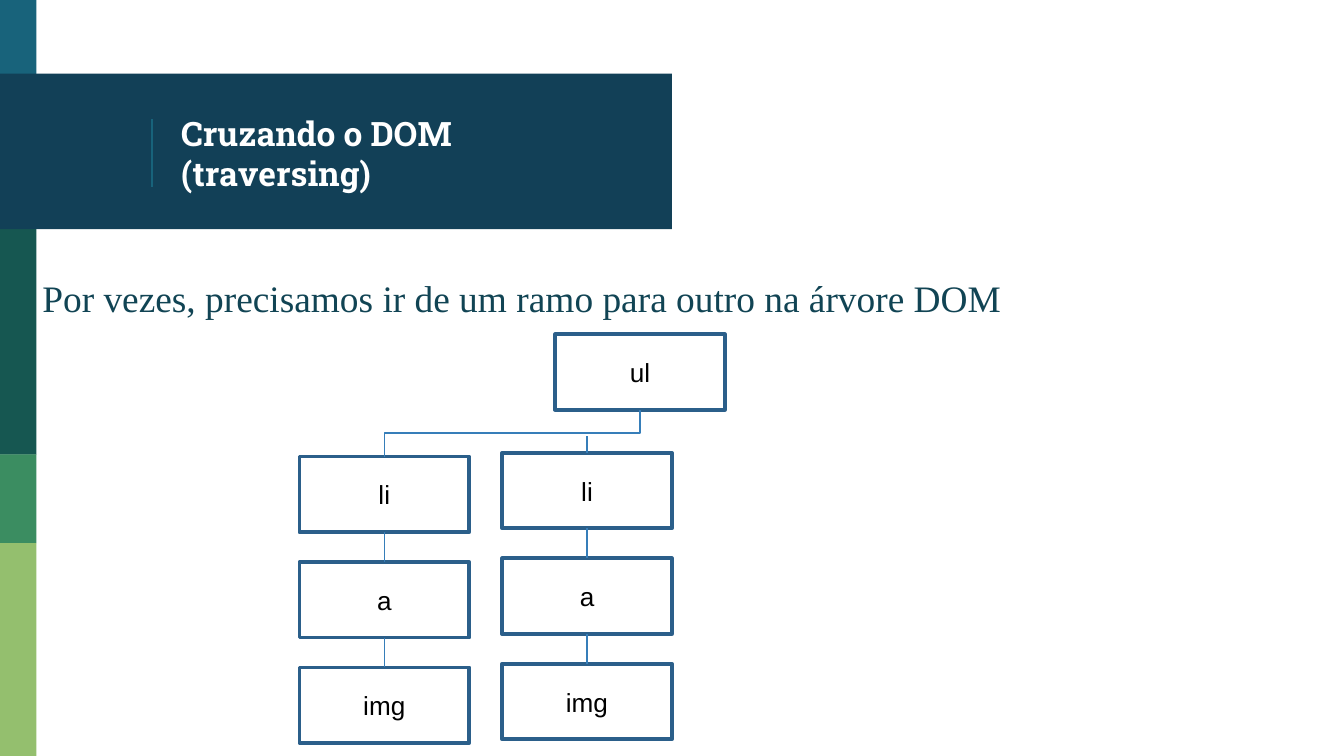
from dataclasses import dataclass

from pptx import Presentation
from pptx.dml.color import RGBColor
from pptx.enum.shapes import MSO_CONNECTOR, MSO_SHAPE
from pptx.enum.text import MSO_ANCHOR, PP_ALIGN
from pptx.oxml.ns import qn
from pptx.util import Pt


@dataclass(frozen=True)
class Theme:
    teal: str = "18637B"
    navy: str = "124057"
    pine: str = "165751"
    green: str = "3B8D61"
    lime: str = "94BF6E"
    white: str = "FFFFFF"
    black: str = "000000"
    body: str = "114454"
    outline: str = "2B5F8A"
    link: str = "367EB9"
    title_font: str = "Roboto Slab"
    body_font: str = "Times New Roman"
    node_font: str = "Arial"
    title_size: float = 18
    body_size: float = 20
    node_size: float = 14
    thin: float = 0.75
    thick: float = 2


@dataclass(frozen=True)
class Box:
    left: float
    top: float
    width: float
    height: float

    @property
    def center(self):
        return self.left + self.width / 2

    @property
    def bottom(self):
        return self.top + self.height

    def lengths(self):
        return Pt(self.left), Pt(self.top), Pt(self.width), Pt(self.height)


THEME = Theme()


def rgb(color):
    return RGBColor.from_string(color)


def add_rectangle(page, box, fill=None, line=None):
    shape = page.shapes.add_shape(MSO_SHAPE.RECTANGLE, *box.lengths())
    shape.shadow.inherit = False
    if fill:
        shape.fill.solid()
        shape.fill.fore_color.rgb = rgb(fill)
    else:
        shape.fill.background()
    if line:
        shape.line.color.rgb = rgb(line)
        shape.line.width = Pt(THEME.thick)
    else:
        shape.line.fill.background()
    return shape


def add_line(page, start, end, color, kind=MSO_CONNECTOR.STRAIGHT):
    points = [Pt(value) for value in (*start, *end)]
    connector = page.shapes.add_connector(kind, *points)
    connector.line.color.rgb = rgb(color)
    connector.line.width = Pt(THEME.thin)
    properties = connector._element.spPr
    properties.append(properties.makeelement(qn("a:effectLst"), {}))
    return connector


def add_elbow_down(page, start, end):
    middle_x, middle_y = (start[0] + end[0]) / 2, (start[1] + end[1]) / 2
    half_run, half_drop = abs(start[0] - end[0]) / 2, abs(end[1] - start[1]) / 2
    connector = add_line(
        page,
        (middle_x - half_drop, middle_y - half_run),
        (middle_x + half_drop, middle_y + half_run),
        THEME.link,
        MSO_CONNECTOR.ELBOW,
    )
    connector._element.spPr.find(qn("a:xfrm")).set("rot", "5400000")


def write(shape, text, font, size, color, bold=False, align=PP_ALIGN.LEFT,
          anchor=MSO_ANCHOR.MIDDLE):
    frame = shape.text_frame
    frame.word_wrap = True
    frame.vertical_anchor = anchor
    frame.margin_left = frame.margin_right = Pt(7.2)
    frame.margin_top = frame.margin_bottom = Pt(7.2)
    frame.text = text
    para = frame.paragraphs[0]
    para.alignment = align
    for span in para.runs:
        span.font.name = font
        span.font.size = Pt(size)
        span.font.bold = bold
        span.font.color.rgb = rgb(color)


def build_sidebar(page, box):
    bands = [
        (0, 42, THEME.teal),
        (122.6, 121, THEME.pine),
        (243.5, 47.5, THEME.green),
        (291, 114, THEME.lime),
    ]
    for offset, height, color in bands:
        add_rectangle(page, Box(box.left, box.top + offset, box.width, height), color)


def build_banner(page, box, title):
    add_rectangle(page, box, THEME.navy)
    rule_x = box.left + 81.5
    add_line(page, (rule_x, box.top + 24.5), (rule_x, box.top + 61), THEME.teal)
    title_box = Box(box.left + 90, box.top + 2.4, 252.7, 80.6)
    write(page.shapes.add_textbox(*title_box.lengths()), title,
          THEME.title_font, THEME.title_size, THEME.white, bold=True)


def build_body(page, box, text):
    write(page.shapes.add_textbox(*box.lengths()), text,
          THEME.body_font, THEME.body_size, THEME.body, anchor=MSO_ANCHOR.TOP)


def build_node(page, box, label):
    write(add_rectangle(page, box, line=THEME.outline), label,
          THEME.node_font, THEME.node_size, THEME.black, align=PP_ALIGN.CENTER)


def build_branch(page, top_box, labels, pitch):
    nodes = [
        Box(top_box.left, top_box.top + index * pitch, top_box.width, top_box.height)
        for index in range(len(labels))
    ]
    for node, label in zip(nodes, labels):
        build_node(page, node, label)
    for upper, lower in zip(nodes, nodes[1:]):
        add_line(page, (upper.center, upper.bottom), (lower.center, lower.top), THEME.link)


def build_tree(page, box):
    width, height, pitch = 91, 40.5, 56.5
    labels = ["li", "a", "img"]
    root = Box(box.left + 137, box.top, width, height)
    first = Box(box.left, box.top + 65.5, width, height)
    second = Box(box.left + 108.6, box.top + 63.5, width, height)
    build_node(page, root, "ul")
    for branch in (first, second):
        build_branch(page, branch, labels, pitch)
    add_elbow_down(page, (root.center, root.bottom), (first.center, first.top))
    add_line(page, (second.center, second.top), (second.center, second.top - 9), THEME.link)


def main():
    deck = Presentation()
    deck.slide_width, deck.slide_height = Pt(720), Pt(405)
    page = deck.slides.add_slide(deck.slide_layouts[6])
    build_sidebar(page, Box(0, 0, 19.5, 405))
    build_banner(page, Box(0, 39.4, 360, 83.3), "Cruzando o DOM (traversing)")
    build_body(page, Box(15.6, 140.4, 654.5, 248.4),
               "Por vezes, precisamos ir de um ramo para outro na árvore DOM")
    build_tree(page, Box(160.4, 179.1, 228, 219))
    deck.save("out.pptx")


if __name__ == "__main__":
    main()
